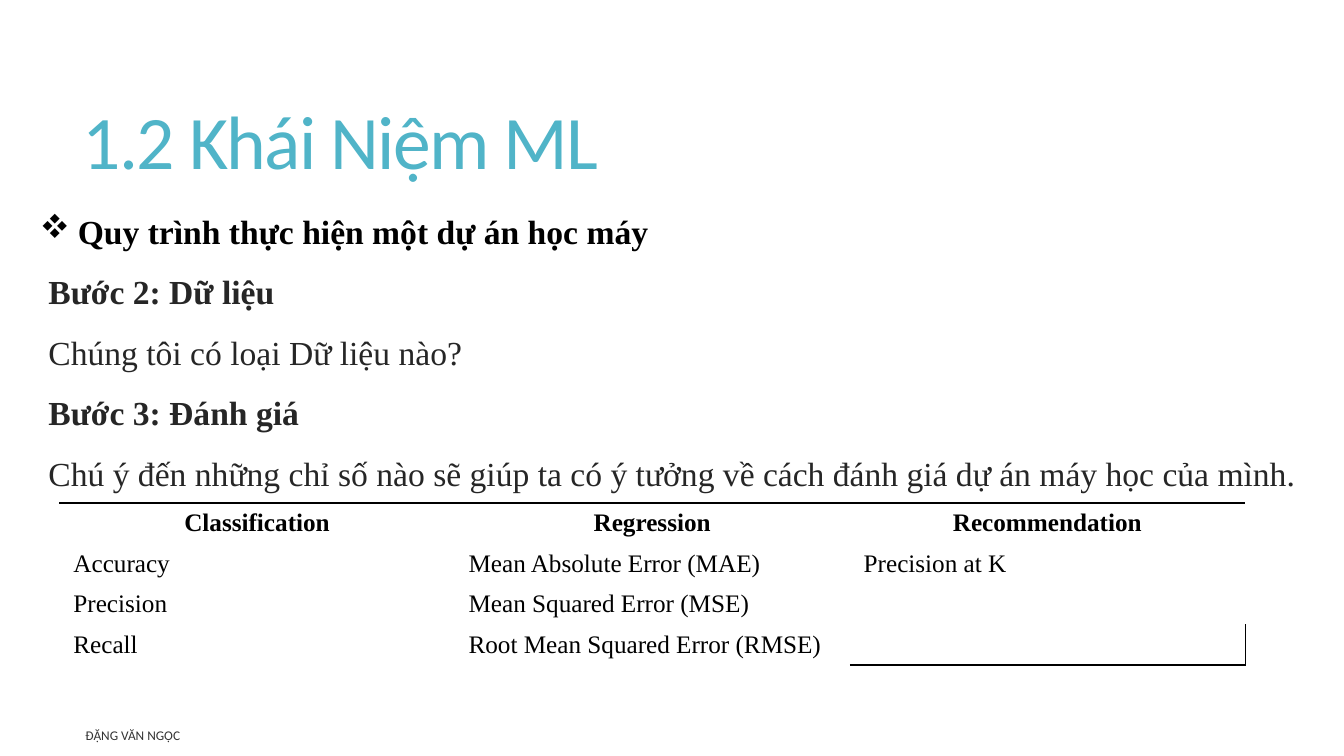
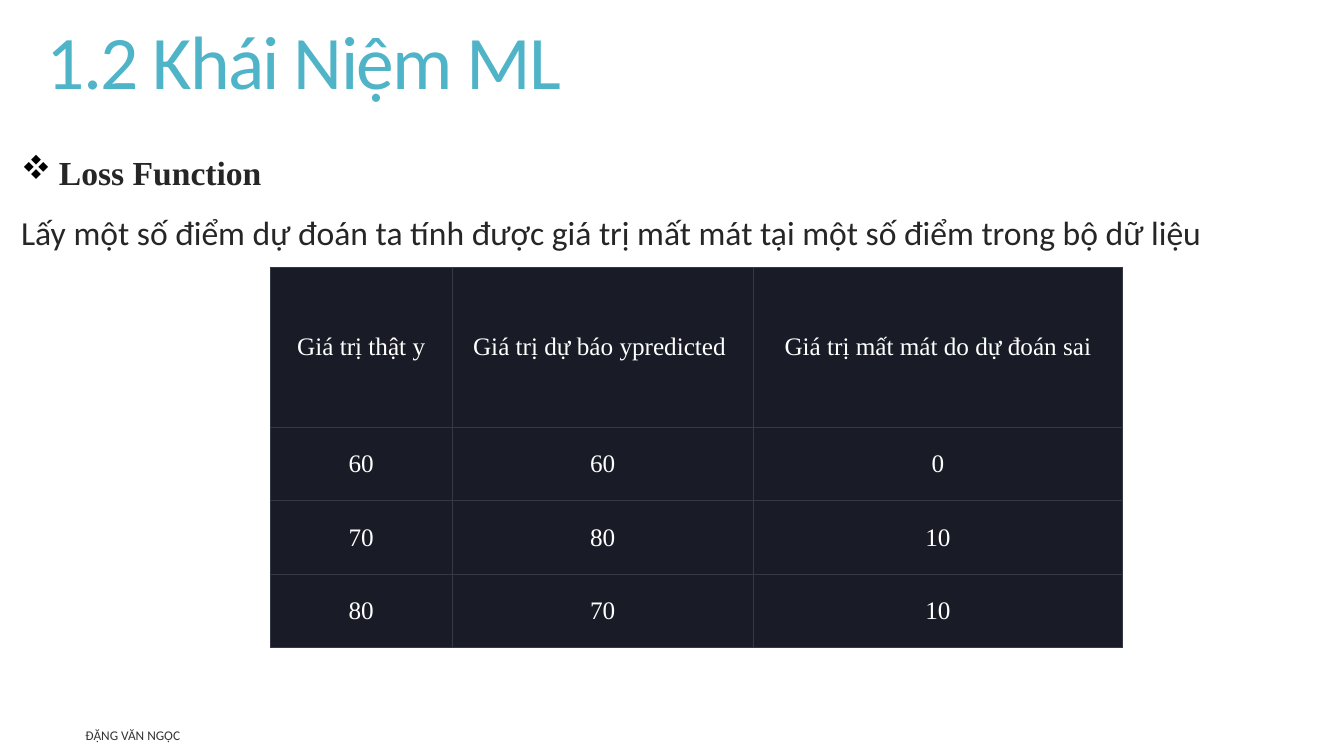
import pptx
import pptx.dml.color
import pptx.enum.text
import pptx.oxml
import pptx.oxml.ns
import pptx.util
import lxml.etree

Pt = pptx.util.Pt
ALIGN = pptx.enum.text.PP_ALIGN
MIDDLE = pptx.enum.text.MSO_ANCHOR.MIDDLE
qn = pptx.oxml.ns.qn


def color(hex_text):
    return pptx.dml.color.RGBColor.from_string(hex_text)


class Slides:
    """Shared style and the slide being built."""

    SANS, SERIF = "Calibri", "Times New Roman"
    ACCENT, BLACK, BODY, WHITE = "50B4C8", "000000", "262626", "FFFFFF"
    PANEL, GRID = "191C26", "353945"
    AUTHOR = "ĐẶNG VĂN NGỌC"
    DIAMOND = "v"  # four-diamond mark in Wingdings
    PLAIN_TABLE = "{2D5ABB26-0587-4C30-8999-92F81FD0307C}"

    def __init__(self):
        self.deck = pptx.Presentation()
        self.deck.slide_width, self.deck.slide_height = Pt(960), Pt(540)
        self.page = None

    def new_page(self, title, left, top, height):
        self.page = self.deck.slides.add_slide(self.deck.slide_layouts[5])
        box = self.page.shapes.title
        box.left, box.top, box.width, box.height = Pt(left), Pt(top), Pt(848), Pt(height)
        frame = box.text_frame
        frame.auto_size = pptx.enum.text.MSO_AUTO_SIZE.NONE
        frame.vertical_anchor = MIDDLE
        para = frame.paragraphs[0]
        para.alignment = ALIGN.LEFT
        para.line_spacing = 0.85
        span = self.add_span(para, title, 54, self.ACCENT, self.SANS)
        span.font._element.set("spc", "-120")
        self.footer()

    def add_span(self, para, text, size, hex_text, font, bold=False):
        span = para.add_run()
        span.text = text
        span.font.name, span.font.size, span.font.bold = font, Pt(size), bold
        span.font.color.rgb = color(hex_text)
        return span

    def text_box(self, left, top, width, height):
        box = self.page.shapes.add_textbox(Pt(left), Pt(top), Pt(width), Pt(height))
        box.text_frame.word_wrap = True
        return box.text_frame

    def footer(self):
        frame = self.text_box(54, 516, 396, 18)
        frame.vertical_anchor = MIDDLE
        span = self.add_span(frame.paragraphs[0], self.AUTHOR, 9.5, self.BLACK, self.SANS)
        fill = span.font._element.find(".//" + qn("a:srgbClr"))
        lxml.etree.SubElement(fill, qn("a:alpha")).set("val", "80000")

    def body(self, left, top, width, heading, heading_color, lines, indent):
        """A bulleted heading, then lines given as (text, font, bold)."""
        frame = self.text_box(left, top, width, 300)
        para = frame.paragraphs[0]
        self.format_body(para, 27, -27, self.DIAMOND)
        self.add_span(para, heading, 24, heading_color, self.SERIF, True)
        for text, font, bold in lines:
            para = frame.add_paragraph()
            self.format_body(para, indent, 0)
            self.add_span(para, text, 24, self.BODY, font, bold)

    def format_body(self, para, margin, first, bullet=None):
        settings = para._p.get_or_add_pPr()
        settings.set("marL", str(Pt(margin)))
        settings.set("indent", str(Pt(first)))
        if bullet:
            tint = lxml.etree.SubElement(settings, qn("a:buClr"))
            lxml.etree.SubElement(tint, qn("a:srgbClr")).set("val", self.BLACK)
            face = lxml.etree.SubElement(settings, qn("a:buFont"))
            face.set("typeface", "Wingdings")
            face.set("charset", "2")
            lxml.etree.SubElement(settings, qn("a:buChar")).set("char", bullet)
        para.line_spacing = 1.5

    def table(self, left, top, widths, heights, rows, fill, ink, margins,
              borders, bold_header=False, body_align=ALIGN.CENTER):
        """borders(row, column) gives a dict of side to (colour, width)."""
        frame = self.page.shapes.add_table(
            len(rows), len(widths), Pt(left), Pt(top), Pt(sum(widths)), Pt(sum(heights)))
        grid = frame.table
        grid.first_row = grid.horz_banding = False
        grid._tbl.find(".//" + qn("a:tableStyleId")).text = self.PLAIN_TABLE
        for column, width in zip(grid.columns, widths):
            column.width = Pt(width)
        side, edge = margins
        for row, texts in enumerate(rows):
            grid.rows[row].height = Pt(heights[row])
            for column, text in enumerate(texts):
                cell = grid.cell(row, column)
                cell.margin_left = cell.margin_right = Pt(side)
                cell.margin_top = cell.margin_bottom = Pt(edge)
                cell.vertical_anchor = MIDDLE
                self.cell_borders(cell, borders(row, column))
                cell.fill.solid()
                cell.fill.fore_color.rgb = color(fill)
                if text:
                    para = cell.text_frame.paragraphs[0]
                    para.alignment = body_align if row else ALIGN.CENTER
                    self.add_span(para, text, 18, ink, self.SERIF, bold_header and row == 0)

    def cell_borders(self, cell, sides):
        settings = cell._tc.get_or_add_tcPr()
        for side in "LRTB":
            if side in sides:
                hex_text, width = sides[side]
                line = lxml.etree.SubElement(settings, qn("a:ln" + side))
                line.set("w", str(Pt(width)))
                solid = lxml.etree.SubElement(line, qn("a:solidFill"))
                lxml.etree.SubElement(solid, qn("a:srgbClr")).set("val", hex_text)


def metric_borders(row, column):
    if row == 0:
        return {"T": (Slides.BLACK, 1.5)}
    if (row, column) == (3, 2):
        return {"R": (Slides.BLACK, 0.5), "B": (Slides.BLACK, 1.5)}
    return {}


def loss_borders(row, column):
    return dict.fromkeys("LRTB", (Slides.GRID, 0.75))


def main():
    slides = Slides()
    title = "1.2 Khái Niệm ML"

    # Project steps and their metrics
    slides.new_page(title, 52, 39.5, 130)
    slides.body(21.5, 132.5, 938.5, "Quy trình thực hiện một dự án học máy", Slides.BLACK, [
        ("Bước 2: Dữ liệu", Slides.SERIF, True),
        ("Chúng tôi có loại Dữ liệu nào?", Slides.SERIF, False),
        ("Bước 3: Đánh giá", Slides.SERIF, True),
        ("Chú ý đến những chỉ số nào sẽ giúp ta có ý tưởng về cách đánh giá "
         "dự án máy học của mình.", Slides.SERIF, False),
    ], indent=6)
    slides.table(42.5, 359.3, [282.25] * 3, [28.9] * 4, [
        ("Classification", "Regression", "Recommendation"),
        ("Accuracy", "Mean Absolute Error (MAE)", "Precision at K"),
        ("Precision", "Mean Squared Error (MSE)", ""),
        ("Recall", "Root Mean Squared Error (RMSE)", ""),
    ], Slides.WHITE, Slides.BLACK, (10, 3), metric_borders,
        bold_header=True, body_align=ALIGN.JUSTIFY)

    # Loss function with sample values
    slides.new_page(title, 26, 4.5, 86)
    slides.body(8, 90.5, 940, "Loss Function", Slides.BODY, [
        ("Lấy một số điểm dự đoán ta tính được giá trị mất mát tại một số điểm "
         "trong bộ dữ liệu", Slides.SANS, False),
    ], indent=0)
    slides.table(193, 190.8, [130, 215, 264], [114.5] + [52.5] * 3, [
        ("Giá trị thật y", "Giá trị dự báo ypredicted ", "Giá trị mất mát do dự đoán sai"),
        ("60", "60", "0"),
        ("70", "80", "10"),
        ("80", "70", "10"),
    ], Slides.PANEL, Slides.WHITE, (11.5, 7), loss_borders)

    slides.deck.save("out.pptx")


if __name__ == "__main__":
    main()
